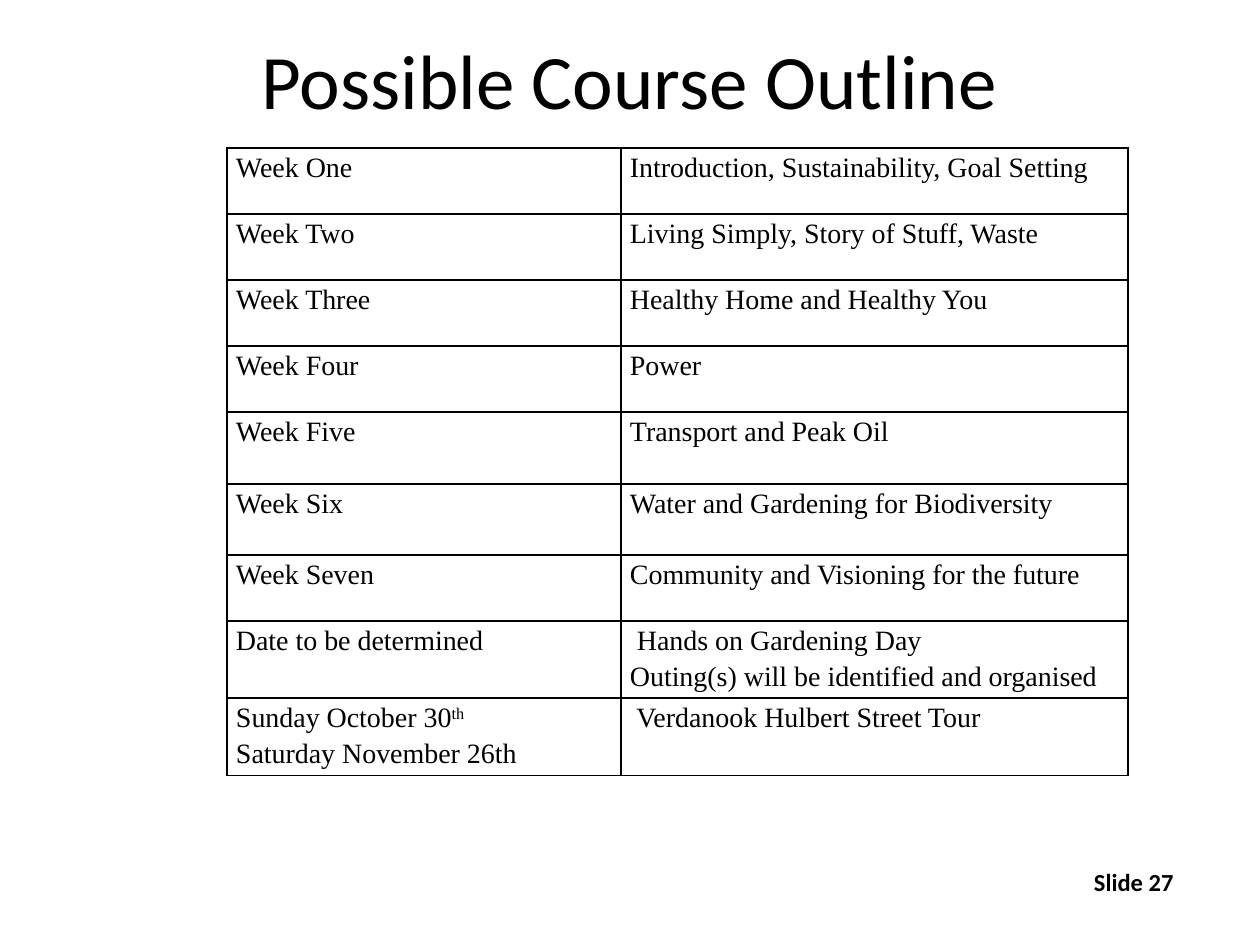
from dataclasses import dataclass

from lxml import etree
from pptx import Presentation
from pptx.dml.color import RGBColor
from pptx.enum.text import MSO_ANCHOR, PP_ALIGN
from pptx.oxml.ns import qn
from pptx.util import Emu, Pt

PX_PER_INCH = 126
BLACK = RGBColor(0, 0, 0)
HEADING_FONT = "Calibri"
TABLE_FONT = "Times New Roman"
CENTER = PP_ALIGN.CENTER
RIGHT = PP_ALIGN.RIGHT
MIDDLE = MSO_ANCHOR.MIDDLE
TOP = MSO_ANCHOR.TOP
BORDER_SIDES = ("a:lnL", "a:lnR", "a:lnT", "a:lnB")
COLUMN_WIDTHS = (394, 507)


@dataclass(frozen=True)
class Span:
    text: str
    superscript: bool = False


Line = tuple[Span, ...]


@dataclass(frozen=True)
class Session:
    when: tuple[Line, ...]
    topic: tuple[Line, ...]
    height: int


def lines(*texts: str) -> tuple[Line, ...]:
    return tuple((Span(text),) for text in texts)


SESSIONS = (
    Session(lines("Week One"), lines("Introduction, Sustainability, Goal Setting"), 66),
    Session(lines("Week Two"), lines("Living Simply, Story of Stuff, Waste"), 66),
    Session(lines("Week Three"), lines("Healthy Home and Healthy You"), 66),
    Session(lines("Week Four"), lines("Power"), 66),
    Session(lines("Week Five"), lines("Transport and Peak Oil"), 72),
    Session(lines("Week Six"), lines("Water and Gardening for Biodiversity"), 71),
    Session(lines("Week Seven"), lines("Community and Visioning for the future"), 66),
    Session(
        lines("Date to be determined"),
        lines(" Hands on Gardening Day", "Outing(s) will be identified and organised"),
        71,
    ),
    Session(
        ((Span("Sunday October 30"), Span("th", superscript=True)),)
        + lines("Saturday November 26th"),
        lines(" Verdanook Hulbert Street Tour"),
        72,
    ),
)


def px(length: int) -> Emu:
    return Emu(round(length * 914400 / PX_PER_INCH))


def add_run(paragraph, span: Span, font_name: str, size: int, bold: bool = False) -> None:
    run = paragraph.add_run()
    run.text = span.text
    run.font.name = font_name
    run.font.size = Pt(size)
    run.font.bold = bold
    run.font.color.rgb = BLACK
    if span.superscript:
        run._r.get_or_add_rPr().set("baseline", "30000")


def add_borders(cell) -> None:
    properties = cell._tc.get_or_add_tcPr()
    for side in BORDER_SIDES:
        border = etree.SubElement(properties, qn(side), w=str(Pt(1)))
        fill = etree.SubElement(border, qn("a:solidFill"))
        etree.SubElement(fill, qn("a:srgbClr"), val=str(BLACK))


def fill_cell(cell, content: tuple[Line, ...]) -> None:
    cell.margin_left = cell.margin_right = px(9)
    cell.margin_top = cell.margin_bottom = 0
    cell.vertical_anchor = TOP
    add_borders(cell)
    cell.fill.background()
    frame = cell.text_frame
    for index, line in enumerate(content):
        paragraph = frame.add_paragraph() if index else frame.paragraphs[0]
        paragraph.line_spacing = 1.15
        for span in line:
            add_run(paragraph, span, TABLE_FONT, 16)


def add_title(slide) -> None:
    title = slide.shapes.title
    title.left, title.top, title.width, title.height = px(94), px(0), px(1071), px(158)
    frame = title.text_frame
    frame.vertical_anchor = MIDDLE
    frame.paragraphs[0].alignment = CENTER
    add_run(frame.paragraphs[0], Span("Possible Course Outline"), HEADING_FONT, 44)


def add_outline(slide) -> None:
    outline = slide.shapes.add_table(
        len(SESSIONS), len(COLUMN_WIDTHS), px(227), px(148),
        px(sum(COLUMN_WIDTHS)), px(sum(session.height for session in SESSIONS)),
    ).table
    outline.first_row = False
    outline.horz_banding = False
    for column, width in zip(outline.columns, COLUMN_WIDTHS):
        column.width = px(width)
    for row, session in zip(outline.rows, SESSIONS):
        row.height = px(session.height)
        for cell, content in zip(row.cells, (session.when, session.topic)):
            fill_cell(cell, content)


def add_slide_number(slide) -> None:
    frame = slide.shapes.add_textbox(px(924), px(861), px(262), px(63)).text_frame
    frame.word_wrap = True
    frame.paragraphs[0].alignment = RIGHT
    add_run(frame.paragraphs[0], Span("Slide 27"), HEADING_FONT, 14, bold=True)


def main() -> None:
    deck = Presentation()
    deck.slide_width, deck.slide_height = px(1260), px(945)
    slide = deck.slides.add_slide(deck.slide_layouts[5])
    add_slide_number(slide)
    add_title(slide)
    add_outline(slide)
    deck.save("out.pptx")


if __name__ == "__main__":
    main()
